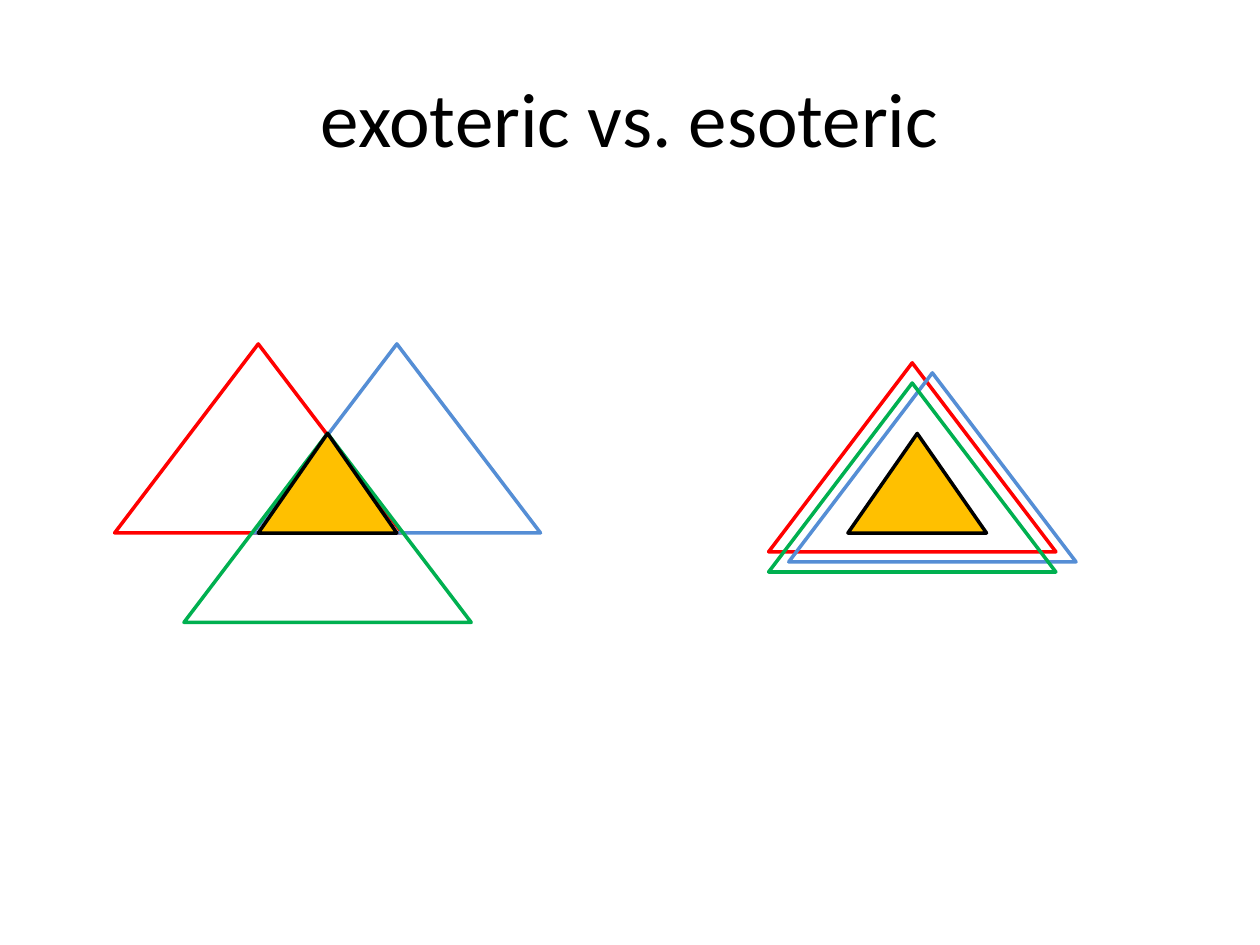
from pptx import Presentation
from pptx.dml.color import RGBColor
from pptx.enum import shapes, text
from pptx.util import Inches, Pt

# Content
TITLE = "exoteric vs. esoteric"
RED, BLUE, GREEN = "FF0000", "558ED5", "00B050"
BLACK, GOLD = "000000", "FFC000"
OUTLINE_SIZE = (2.28, 1.5)
CORE_SIZE = (1.1, 0.79)
OUTLINES = [  # left, top, line colour
    (0.91, 2.73, RED), (2.01, 2.73, BLUE), (1.46, 3.44, GREEN),  # exoteric
    (6.1, 2.88, RED), (6.26, 2.96, BLUE), (6.1, 3.04, GREEN),  # esoteric
]
CORES = [(2.05, 3.44), (6.73, 3.44)]


def colour(value):
    return RGBColor.from_string(value)


def add_triangle(slide, left, top, size, line, fill=None):
    shape = slide.shapes.add_shape(
        shapes.MSO_SHAPE.ISOSCELES_TRIANGLE,
        Inches(left), Inches(top), *map(Inches, size))
    shape.shadow.inherit = False
    if fill:
        shape.fill.solid()
        shape.fill.fore_color.rgb = colour(fill)
    else:
        shape.fill.background()
    shape.line.color.rgb = colour(line)
    shape.line.width = Pt(2)


def add_title(slide):
    title = slide.shapes.title
    title.left, title.top = Inches(0.5), Inches(0.3)
    title.width, title.height = Inches(9), Inches(1.25)
    title.text_frame.vertical_anchor = text.MSO_ANCHOR.MIDDLE
    paragraph = title.text_frame.paragraphs[0]
    paragraph.alignment = text.PP_ALIGN.CENTER
    run = paragraph.add_run()
    run.text = TITLE
    run.font.name = "Calibri"
    run.font.size = Pt(44)
    run.font.color.rgb = colour(BLACK)


def main():
    presentation = Presentation()
    presentation.slide_width, presentation.slide_height = Inches(10), Inches(7.5)
    slide = presentation.slides.add_slide(presentation.slide_layouts[5])
    add_title(slide)

    # Outlines first, so the filled cores lie on top
    for left, top, line in OUTLINES:
        add_triangle(slide, left, top, OUTLINE_SIZE, line)
    for left, top in CORES:
        add_triangle(slide, left, top, CORE_SIZE, BLACK, GOLD)

    presentation.save("out.pptx")


if __name__ == "__main__":
    main()
